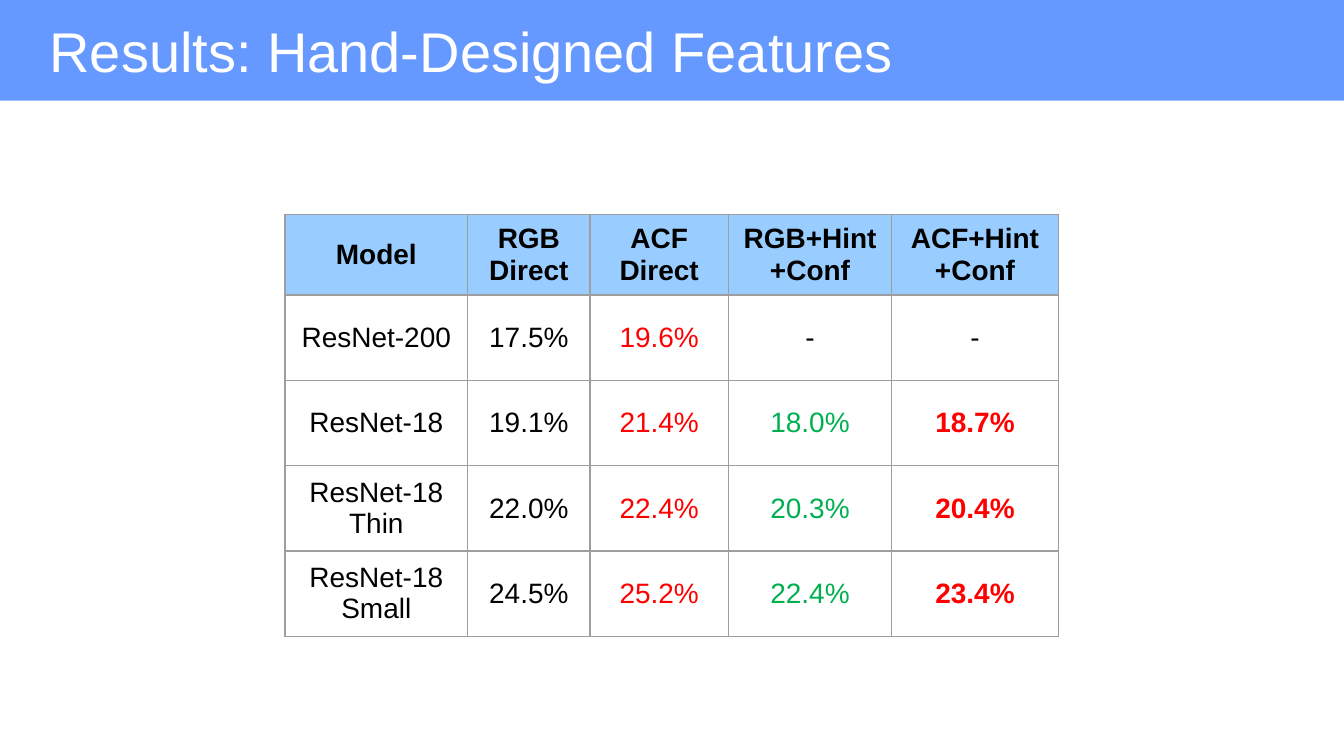
from typing import NamedTuple

from lxml.etree import SubElement
from pptx import Presentation
from pptx.dml.color import RGBColor
from pptx.enum.shapes import MSO_SHAPE
from pptx.enum.text import MSO_ANCHOR, PP_ALIGN
from pptx.oxml.ns import qn
from pptx.util import Emu, Pt

PX = 4572  # 200 px to the inch
FONT = "Arial"
WHITE = RGBColor(0xFF, 0xFF, 0xFF)
BLACK = RGBColor(0x00, 0x00, 0x00)
RED = RGBColor(0xFF, 0x00, 0x00)
GREEN = RGBColor(0x00, 0xB0, 0x50)
BANNER_BLUE = RGBColor(0x66, 0x99, 0xFF)
HEADER_BLUE = RGBColor(0x99, 0xCC, 0xFF)
GRID_GREY = RGBColor(0x9E, 0x9E, 0x9E)


class Column(NamedTuple):
    header: str
    width: int
    values: tuple[str, ...]
    color: RGBColor = BLACK
    bold: bool = False


# "\n" starts a paragraph, "\v" breaks a line within one
COLUMNS = (
    Column("Model", 272,
           ("ResNet-200", "ResNet-18", "ResNet-18\nThin", "ResNet-18\vSmall")),
    Column("RGB\nDirect", 182, ("17.5%", "19.1%", "22.0%", "24.5%")),
    Column("ACF\nDirect", 206, ("19.6%", "21.4%", "22.4%", "25.2%"), RED),
    Column("RGB+Hint+Conf", 243, ("-", "18.0%", "20.3%", "22.4%"), GREEN),
    Column("ACF+Hint\n+Conf", 248, ("-", "18.7%", "20.4%", "23.4%"), RED, True),
)
ROW_HEIGHTS = (119, 127, 127, 127, 127)


def px(n: int) -> Emu:
    return Emu(n * PX)


def add_run(p, text: str, size: int, color: RGBColor, bold: bool = False) -> None:
    r = p.add_run()
    r.text = text
    r.font.name = FONT
    r.font.size = Pt(size)
    r.font.bold = bold
    r.font.color.rgb = color


def set_borders(cell) -> None:
    tcPr = cell._tc.get_or_add_tcPr()
    for i, side in enumerate(("a:lnL", "a:lnR", "a:lnT", "a:lnB")):
        ln = SubElement(tcPr, qn(side), w=str(Pt(0.75)))
        tcPr.insert(i, ln)  # borders come before the fill
        fill = SubElement(ln, qn("a:solidFill"))
        SubElement(fill, qn("a:srgbClr"), val=str(GRID_GREY))


def fill_cell(cell, text: str, color: RGBColor, bold: bool,
              fill: RGBColor | None = None) -> None:
    if fill is None:
        cell.fill.background()
    else:
        cell.fill.solid()
        cell.fill.fore_color.rgb = fill
    set_borders(cell)
    cell.vertical_anchor = MSO_ANCHOR.MIDDLE
    cell.margin_left = cell.margin_right = px(20)
    cell.margin_top = cell.margin_bottom = px(10)
    tf = cell.text_frame
    for i, paragraph in enumerate(text.split("\n")):
        p = tf.add_paragraph() if i else tf.paragraphs[0]
        p.alignment = PP_ALIGN.CENTER
        for k, line in enumerate(paragraph.split("\v")):
            if k:
                p.add_line_break()
            add_run(p, line, 15, color, bold)


def add_banner(s, title: str) -> None:
    sp = s.shapes.add_shape(MSO_SHAPE.RECTANGLE, px(0), px(-10), px(2000), px(160))
    sp.shadow.inherit = False
    sp.fill.solid()
    sp.fill.fore_color.rgb = BANNER_BLUE
    sp.line.fill.background()

    tf = s.shapes.add_textbox(px(54), px(4), px(1864), px(126)).text_frame
    tf.word_wrap = True
    tf.margin_left = tf.margin_right = tf.margin_top = tf.margin_bottom = px(20)
    add_run(tf.paragraphs[0], title, 30, WHITE)


def add_results(s, left: int, top: int) -> None:
    width = sum(c.width for c in COLUMNS)
    table = s.shapes.add_table(len(ROW_HEIGHTS), len(COLUMNS), px(left), px(top),
                               px(width), px(sum(ROW_HEIGHTS))).table
    for row, height in zip(table.rows, ROW_HEIGHTS):
        row.height = px(height)
    for j, col in enumerate(COLUMNS):
        table.columns[j].width = px(col.width)
        fill_cell(table.cell(0, j), col.header, BLACK, True, HEADER_BLUE)
        for i, value in enumerate(col.values, start=1):
            missing = value == "-"
            fill_cell(table.cell(i, j), value, BLACK if missing else col.color,
                      col.bold and not missing)


def main() -> None:
    prs = Presentation()
    prs.slide_width, prs.slide_height = px(2000), px(1125)
    s = prs.slides.add_slide(prs.slide_layouts[6])

    # Title banner
    add_banner(s, "Results: Hand-Designed Features")

    # Error rates by model and feature type
    add_results(s, 424, 319)

    prs.save("out.pptx")


if __name__ == "__main__":
    main()
